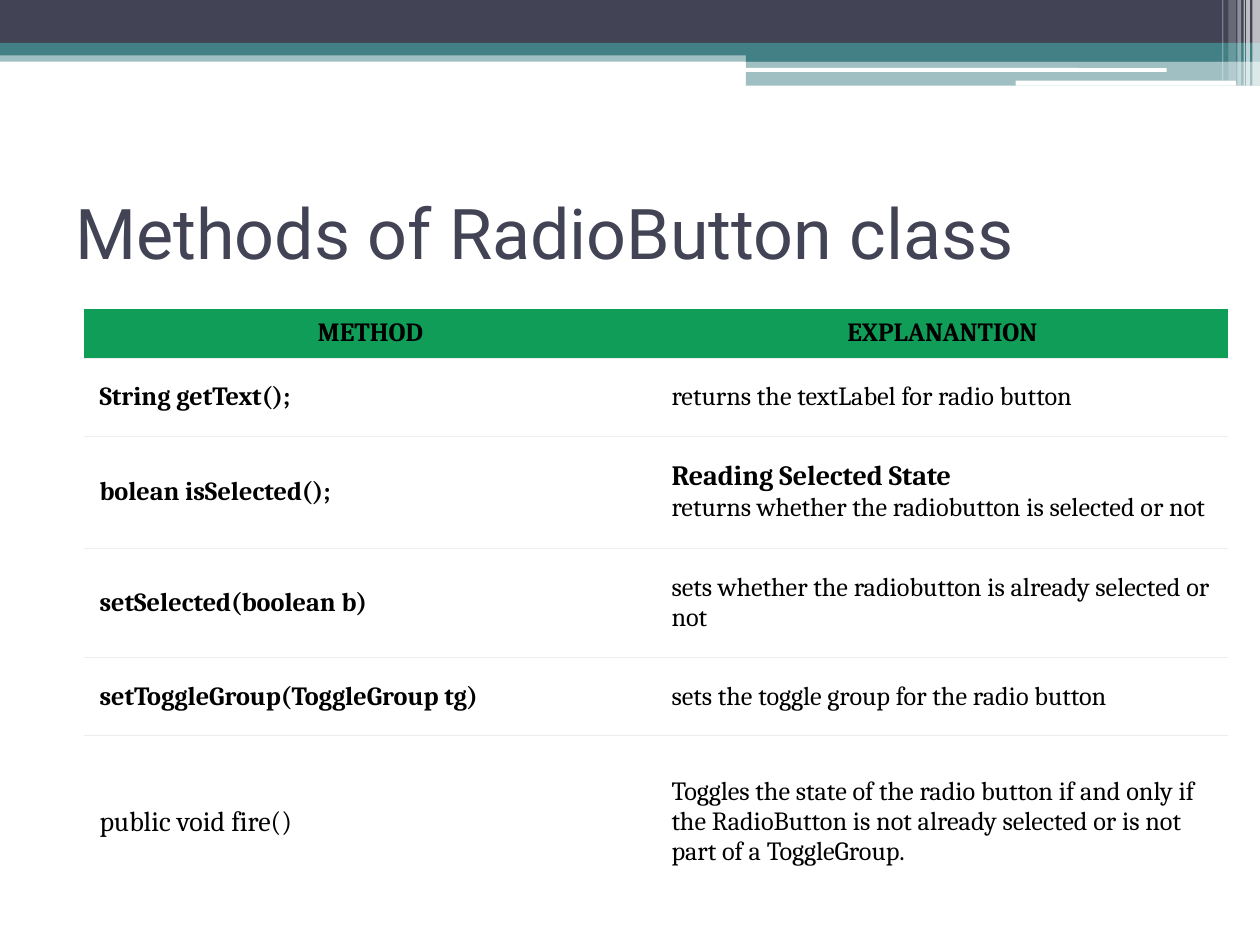
from lxml import etree
from pptx import Presentation
from pptx.dml.color import RGBColor
from pptx.enum.shapes import MSO_SHAPE
from pptx.enum.text import MSO_ANCHOR, PP_ALIGN
from pptx.oxml.ns import qn
from pptx.util import Inches, Pt

COLORS = {
    "navy": "424456",
    "teal": "438086",
    "white": "FFFFFF",
    "black": "000000",
    "green": "0F9D58",
    "rule": "EDEDED",
}
NO_STYLE = "{2D5ABB26-0587-4C30-8999-92F81FD0307C}"
RULE_WIDTH = Pt(0.34)

# left, top, width, height, colour, opacity in percent
BANDS = [
    (0, 0.4, 10, 0.09, "teal", 50),
    (0, 0, 10, 0.34, "navy", 100),
    (0, 0.34, 10, 0.1, "teal", 100),
    (5.92, 0.39, 4.08, 0.1, "teal", 100),
    (5.92, 0.48, 4.08, 0.2, "teal", 50),
]
ROUNDED_BARS = [(5.91, 0.54, 3.35, 0.03), (8.06, 0.64, 1.75, 0.04)]
# left, width, height, opacity in percent
STRIPES = [
    (9.94, 0.06, 0.68, 65),
    (9.89, 0.03, 0.68, 65),
    (9.87, 0.01, 0.68, 60),
    (9.82, 0.03, 0.68, 40),
    (9.75, 0.06, 0.64, 20),
    (9.7, 0.01, 0.64, 30),
]

HEADINGS = ["METHOD", "EXPLANANTION"]
BOLD, BIG, BIG_BOLD = {"bold": True}, {"size": 16}, {"size": 16, "bold": True}
# row height, method line, explanation lines; a line is (text, format)
METHODS = [
    (0.62, ("String getText();", BOLD),
     [("returns the textLabel for radio button", {})]),
    (0.89, ("bolean isSelected();", BOLD),
     [("Reading Selected State", BIG_BOLD),
      ("returns whether the radiobutton is selected or not", {})]),
    (0.87, ("setSelected(boolean b)", BOLD),
     [("sets whether the radiobutton is already selected or not", {})]),
    (0.62, ("setToggleGroup(ToggleGroup tg)", BOLD),
     [("sets the toggle group for the radio button", {})]),
    (1.37, ("public void fire()", BIG),
     [("Toggles the state of the radio button if and only if the RadioButton "
       "is not already selected or is not part of a ToggleGroup.", {})]),
]


def rgb(name):
    return RGBColor.from_string(COLORS[name])


def write(p, text, size=15, font="Cambria", color="black", bold=False,
          align=PP_ALIGN.LEFT):
    p.alignment = align
    r = p.add_run()
    r.text = text
    r.font.size = Pt(size)
    r.font.name = font
    r.font.bold = bold
    r.font.color.rgb = rgb(color)


def add_rule(cell, *sides):
    """Draw thin horizontal borders; sides are "T" and "B", in that order."""
    tcPr = cell._tc.get_or_add_tcPr()
    for i, side in enumerate(sides):
        ln = etree.Element(qn(f"a:ln{side}"), w=str(RULE_WIDTH))
        fill = etree.SubElement(ln, qn("a:solidFill"))
        etree.SubElement(fill, qn("a:srgbClr"), val=COLORS["rule"])
        tcPr.insert(i, ln)


class SlideBuilder:
    def __init__(self, slide, title_font="Roboto"):
        self.slide = slide
        self.title_font = title_font

    def bar(self, left, top, width, height, color, opacity=100,
            shape=MSO_SHAPE.RECTANGLE):
        sp = self.slide.shapes.add_shape(
            shape, Inches(left), Inches(top), Inches(width), Inches(height))
        sp.shadow.inherit = False
        sp.line.fill.background()
        sp.fill.solid()
        sp.fill.fore_color.rgb = rgb(color)
        if opacity < 100:
            clr = sp._element.spPr.find(".//" + qn("a:srgbClr"))
            etree.SubElement(clr, qn("a:alpha"), val=str(opacity * 1000))

    def title(self, text):
        box = self.slide.shapes.add_textbox(
            Inches(0.5), Inches(1.25), Inches(9), Inches(1.17))
        tf = box.text_frame
        tf.word_wrap = True
        tf.vertical_anchor = MSO_ANCHOR.MIDDLE
        write(tf.paragraphs[0], text, size=40, font=self.title_font, color="navy")

    def cell(self, cell, lines, fill, margin):
        cell.fill.solid()
        cell.fill.fore_color.rgb = rgb(fill)
        cell.vertical_anchor = MSO_ANCHOR.MIDDLE
        cell.margin_left = cell.margin_right = Inches(margin)
        cell.margin_top = cell.margin_bottom = Inches(0.05)
        tf = cell.text_frame
        for i, (text, style) in enumerate(lines):
            p = tf.add_paragraph() if i else tf.paragraphs[0]
            write(p, text, **style)

    def method_table(self, headings, methods, header_height=0.39):
        heights = [header_height] + [height for height, _, _ in methods]
        frame = self.slide.shapes.add_table(
            len(heights), len(headings), Inches(0.67), Inches(2.45),
            Inches(9.08), Inches(sum(heights)))
        table = frame.table
        table.first_row = table.horz_banding = False
        table._tbl.tblPr.find(qn("a:tableStyleId")).text = NO_STYLE
        for row, height in zip(table.rows, heights):
            row.height = Inches(height)
        for c, heading in enumerate(headings):
            style = {"bold": True, "align": PP_ALIGN.CENTER}
            self.cell(table.cell(0, c), [(heading, style)], "green", 0.07)
            add_rule(table.cell(0, c), "B")
        for r, (_, method, explanation) in enumerate(methods, 1):
            for c, lines in enumerate([[method], explanation]):
                cell = table.cell(r, c)
                self.cell(cell, lines, "white", 0.12)
                add_rule(cell, *("TB" if r < len(methods) else "T"))


def main():
    prs = Presentation()
    prs.slide_width, prs.slide_height = Inches(10), Inches(7.5)
    s = SlideBuilder(prs.slides.add_slide(prs.slide_layouts[6]))
    for band in BANDS:
        s.bar(*band)
    for place in ROUNDED_BARS:
        s.bar(*place, "white", shape=MSO_SHAPE.ROUNDED_RECTANGLE)
    for left, width, height, opacity in STRIPES:
        s.bar(left, 0, width, height, "white", opacity)
    s.title("Methods of RadioButton class")
    s.method_table(HEADINGS, METHODS)
    prs.save("out.pptx")


if __name__ == "__main__":
    main()
